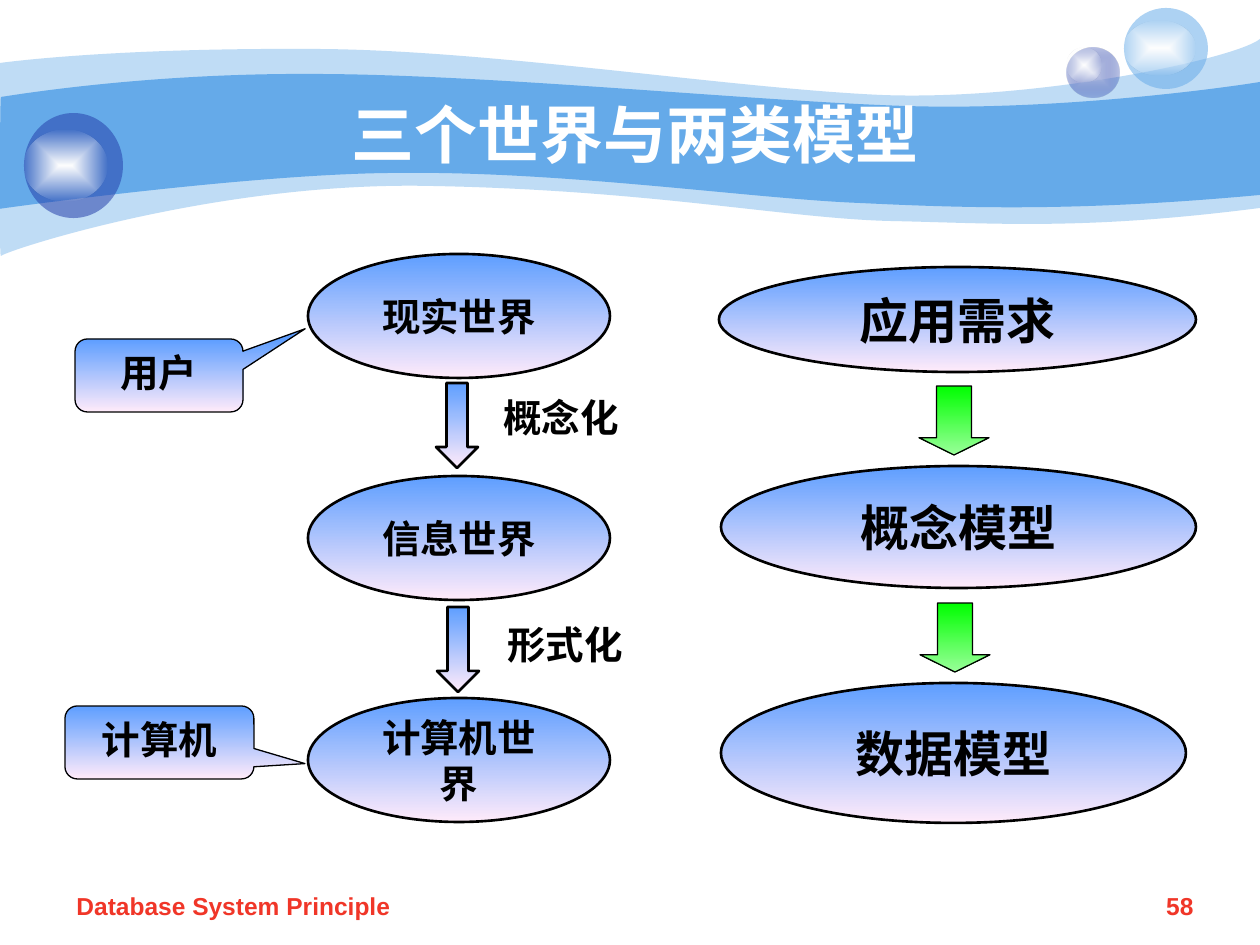
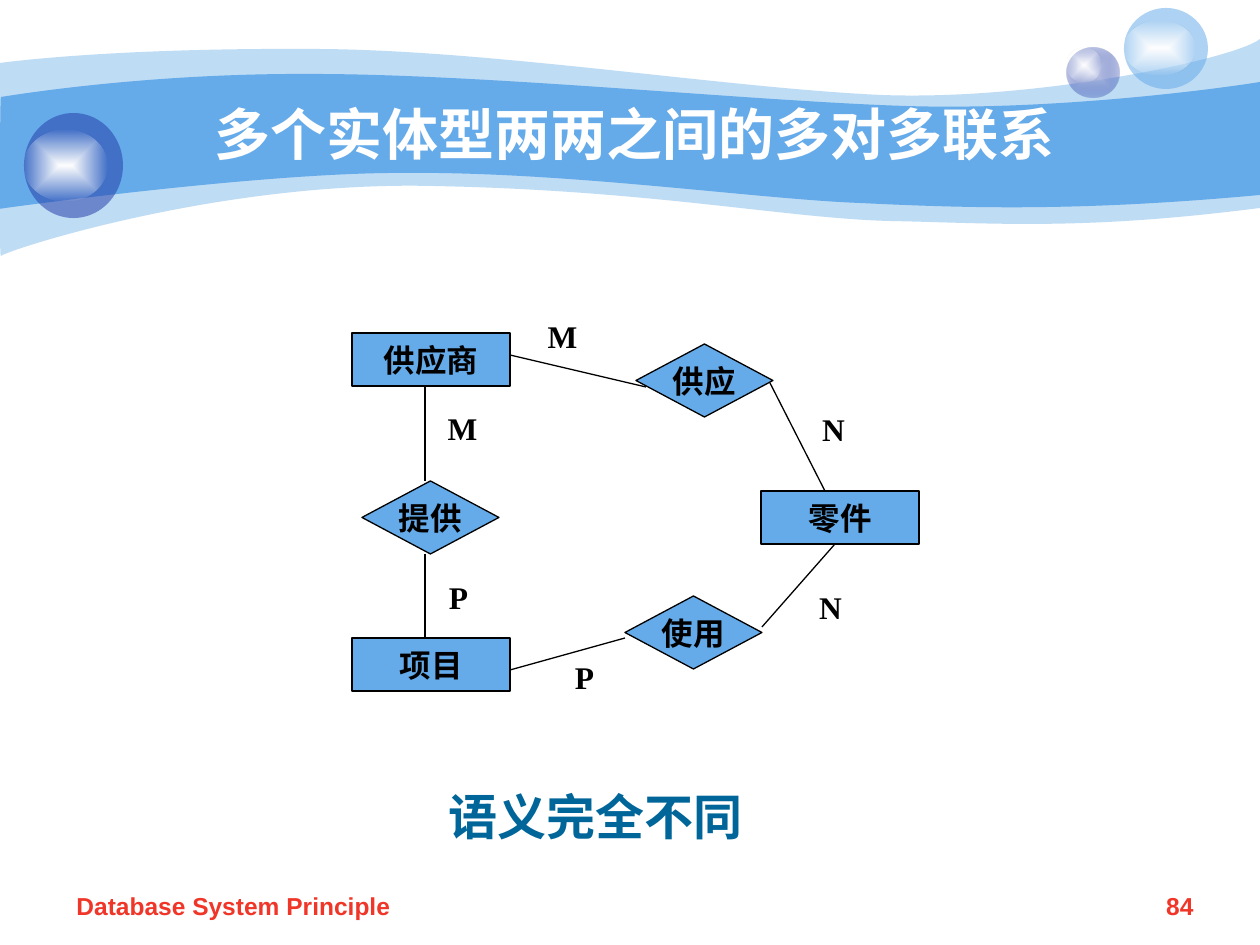
from lxml import etree
from pptx import Presentation
from pptx import util as u
from pptx.dml.color import RGBColor
from pptx.enum import shapes, text
from pptx.oxml.ns import qn

PX = u.Inches(1) / 126
KIND = shapes.MSO_SHAPE
SANS, SERIF, CJK = "Arial", "Times New Roman", "Noto Sans CJK SC"
BLUE, NAVY, WHITE, BLACK, RED, TEAL = "65AAE9", "233DA9", "FFFFFF", "000000", "F03628", "006699"
SKY = ("5E9EFF", "FFEBFA")
GREEN = ("00FF00", "99FF99")

# Header waves: start point, then curves (6 numbers) and straight lines (2 numbers)
PALE_WAVE = [(0, 63), (30, 59, 135, 48, 311, 49), (486, 49, 725, 88, 881, 95),
             (1036, 101, 1235, 59, 1260, 39), (1260, 208),
             (1081, 231, 992, 223, 888, 221), (784, 218, 649, 190, 432, 186),
             (217, 181, 5, 251, 1, 256), (-1, 262, 0, 95, 0, 63)]
BLUE_WAVE = [(1, 97), (3, 97, 139, 73, 312, 74), (486, 74, 750, 101, 905, 106),
             (1060, 111, 1230, 87, 1260, 82), (1260, 195),
             (1075, 212, 964, 208, 859, 203), (755, 199, 563, 171, 399, 173),
             (256, 173, -3, 209, -1, 209), (0, 209, 0, 97, 1, 97)]
# Bubbles: place, fill, alpha percentages, place of the shine
BUBBLES = [((1067, 48, 53, 50), ("C7CEE9", NAVY), (100, 31), (1067, 48, 35, 34)),
           ((1124, 8, 84, 81), BLUE, (53,), (1124, 21, 71, 54)),
           ((24, 113, 99, 105), NAVY, (53,), (24, 130, 83, 71))]
FOOTER = "Database System Principle"

# Slide 1: three worlds on the left, model levels on the right
WORLDS = ["现实世界", "信息世界", "计算机世界"]
WORLD_ARROWS = [(436, 383), (437, 607)]
STEPS = [("概念化", (503, 394)), ("形式化", (507, 621))]
CALLOUTS = [("用户", (75, 339, 168, 73), (0.87, -0.64, 0.17)),
            ("计算机", (65, 706, 189, 73), (0.77, 0.29, 0.17))]
LEVELS = [("应用需求", (719, 267, 477, 105)),
          ("概念模型", (721, 466, 475, 122)),
          ("数据模型", (721, 683, 465, 140))]
LEVEL_ARROWS = [(919, 386), (920, 603)]

# Slide 2: entities, relations, links and cardinalities
ENTITIES = [("供应商", (352, 333)), ("项目", (352, 638)), ("零件", (761, 491))]
RELATIONS = [("供应", (636, 344)), ("使用", (625, 596)), ("提供", (362, 481))]
LINKS = [(510, 355, 646, 387), (770, 383, 825, 491), (425, 387, 425, 481),
         (425, 554, 425, 638), (510, 670, 625, 638), (762, 627, 835, 544)]
CARDINALITIES = [("M", (531, 311)), ("N", (802, 404)), ("P", (427, 572)),
                 ("N", (799, 582)), ("M", (431, 403)), ("P", (553, 652))]


def px(*lengths):
    return [round(length * PX) for length in lengths]


def rgb(value):
    return RGBColor.from_string(value)


def paint(shape, fill, alphas=(), line=None, radial=False):
    """Solid fill for one colour, two-stop gradient for a pair."""
    shape.shadow.inherit = False
    if isinstance(fill, str):
        shape.fill.solid()
        shape.fill.fore_color.rgb = rgb(fill)
    else:
        shape.fill.gradient()
        shape.fill.gradient_angle = 270
        for stop, colour in zip(shape.fill.gradient_stops, fill):
            stop.color.rgb = rgb(colour)
    properties = shape._element.spPr
    for colour, alpha in zip(properties.iter(qn("a:srgbClr")), alphas):
        if alpha < 100:
            etree.SubElement(colour, qn("a:alpha"), val=str(alpha * 1000))
    if radial:
        linear = properties.find(".//" + qn("a:lin"))
        centre = etree.Element(qn("a:path"), path="rect")
        etree.SubElement(centre, qn("a:fillToRect"), l="50000", t="50000", r="50000", b="50000")
        linear.getparent().replace(linear, centre)
    if line:
        shape.line.color.rgb = rgb(BLACK)
        shape.line.width = u.Pt(line)
    else:
        shape.line.fill.background()


def write(shape, words, size, font=SERIF, colour=BLACK, align="CENTER",
          anchor="MIDDLE", wrap=True, inset=True):
    frame = shape.text_frame
    frame.text = words
    frame.word_wrap = wrap
    frame.vertical_anchor = text.MSO_ANCHOR[anchor]
    frame.margin_left = frame.margin_right = u.Inches(0.1 if inset else 0)
    frame.margin_top = frame.margin_bottom = u.Inches(0.05 if inset else 0)
    para = frame.paragraphs[0]
    para.alignment = text.PP_ALIGN[align]
    span = para.runs[0]
    span.font.name, span.font.size, span.font.bold = font, u.Pt(size), True
    span.font.color.rgb = rgb(colour)
    latin = span.font._element.find(qn("a:latin"))
    latin.addnext(etree.Element(qn("a:ea"), typeface=CJK))


def add_label(page, place, words, size, **style):
    write(page.shapes.add_textbox(*px(*place)), words, size, **style)


def add_part(page, kind, place, fill, line=None, adjust=(), **look):
    shape = page.shapes.add_shape(kind, *px(*place))
    for index, value in enumerate(adjust):
        shape.adjustments[index] = value
    paint(shape, fill, line=line, **look)
    return shape


def add_wave(page, outline, alpha):
    """Lay the outline as straight segments, then join each triple into a curve."""
    start, *steps = outline
    points = [px(*step[i:i + 2]) for step in steps for i in range(0, len(step), 2)]
    builder = page.shapes.build_freeform(*px(*start))
    builder.add_line_segments(points, close=True)
    wave = builder.convert_to_shape()
    segments = iter(list(wave._element.iter(qn("a:lnTo"))))
    for step in steps:
        first = next(segments)
        if len(step) == 6:
            curve = etree.Element(qn("a:cubicBezTo"))
            first.addprevious(curve)
            for segment in (first, next(segments), next(segments)):
                curve.append(segment[0])
                segment.getparent().remove(segment)
    paint(wave, BLUE, (alpha,))


def add_page(deck, title, title_size, number):
    """Blank page with waves, bubbles, title and footer."""
    page = deck.slides.add_slide(deck.slide_layouts[6])
    add_wave(page, PALE_WAVE, 41)
    add_wave(page, BLUE_WAVE, 100)
    for place, fill, alphas, shine in BUBBLES:
        add_part(page, KIND.OVAL, place, fill, alphas=alphas, radial=len(fill) == 2)
        add_part(page, KIND.OVAL, shine, (WHITE, WHITE), alphas=(100, 0), radial=True)
    add_label(page, (126, 94, 1018, 78), title, title_size, font=SANS, colour=WHITE)
    for place, words, align in (((1116, 885, 90, 44), number, "RIGHT"),
                                ((64, 885, 496, 44), FOOTER, "LEFT")):
        add_label(page, place, words, 14, font=SANS, colour=RED, align=align, anchor="TOP")
    return page


def build_worlds(deck):
    page = add_page(deck, "三个世界与两类模型", 36, "58")
    # Worlds and the steps between them
    for row, world in enumerate(WORLDS):
        oval = add_part(page, KIND.OVAL, (308, 254 + 222 * row, 302, 124), SKY, 1.5)
        write(oval, world, 22, font=CJK)
    for corner in WORLD_ARROWS:
        add_part(page, KIND.DOWN_ARROW, (*corner, 42, 85), SKY, 1.5, (0.5, 0.5))
    for step, corner in STEPS:
        add_label(page, (*corner, 116, 47), step, 22, font=CJK,
                  anchor="TOP", wrap=False, inset=False)
    for words, place, tail in CALLOUTS:
        callout = add_part(page, KIND.ROUNDED_RECTANGULAR_CALLOUT, place, SKY, 0.75, tail)
        write(callout, words, 22, anchor="TOP")
    # Model levels
    for level, place in LEVELS:
        write(add_part(page, KIND.OVAL, place, SKY, 1.5), level, 28, font=CJK)
    for corner in LEVEL_ARROWS:
        add_part(page, KIND.DOWN_ARROW, (*corner, 70, 69), GREEN, 0.75, (0.5, 0.25))


def build_relations(deck):
    page = add_page(deck, "多个实体型两两之间的多对多联系", 32, "84")
    add_label(page, (243, 780, 705, 72), "语义完全不同", 28, colour=TEAL, anchor="TOP")
    # Entity boxes and relation diamonds
    for kind, size, nodes in ((KIND.RECTANGLE, (158, 53), ENTITIES),
                              (KIND.DIAMOND, (137, 73), RELATIONS)):
        for name, corner in nodes:
            node = add_part(page, kind, (*corner, *size), BLUE, 0.75)
            write(node, name, 18, wrap=False)
    # Links and their cardinalities
    for ends in LINKS:
        link = page.shapes.add_connector(shapes.MSO_CONNECTOR.STRAIGHT, *px(*ends))
        link.line.color.rgb = rgb(BLACK)
        link.line.width = u.Pt(0.75)
        etree.SubElement(link._element.spPr, qn("a:effectLst"))
    for letter, corner in CARDINALITIES:
        add_label(page, (*corner, 63, 50), letter, 18, anchor="TOP")


def main():
    deck = Presentation()
    deck.slide_width, deck.slide_height = px(1260, 945)
    build_worlds(deck)
    build_relations(deck)
    deck.save("out.pptx")


if __name__ == "__main__":
    main()
